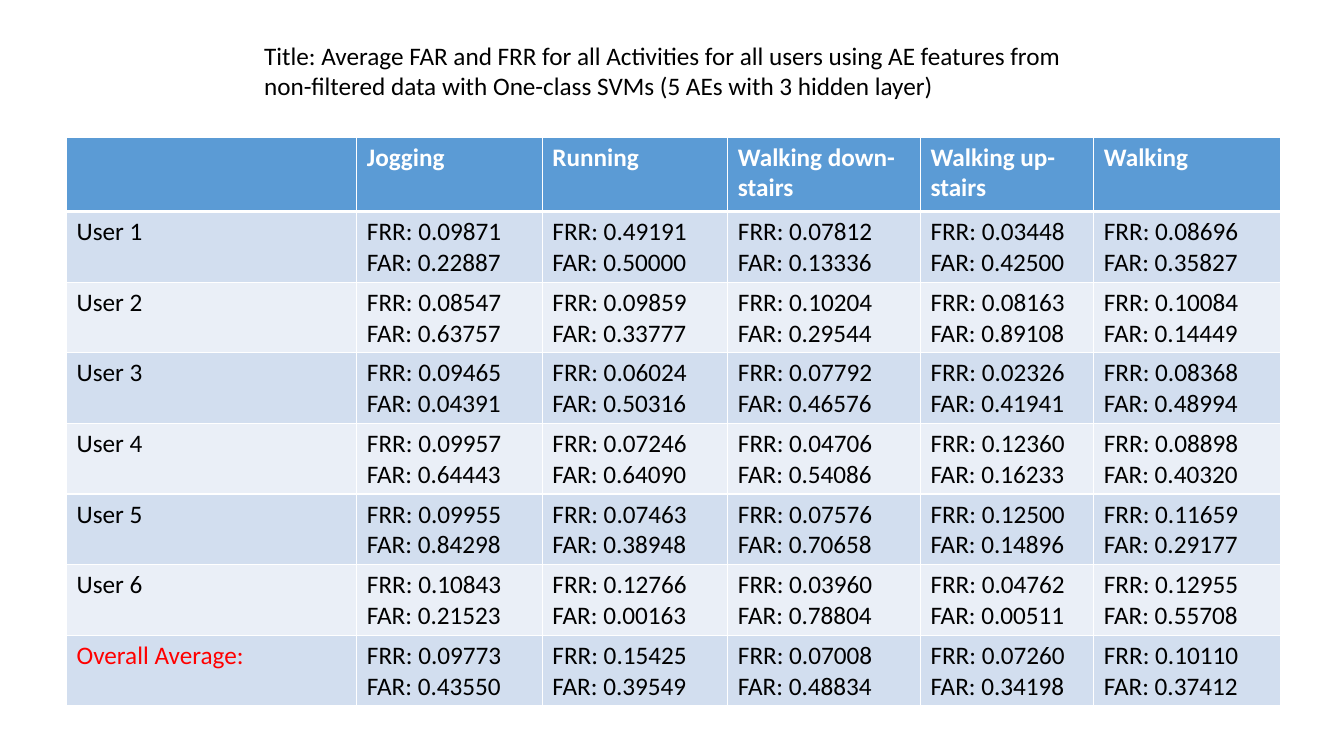
from lxml import etree
from pptx import Presentation
from pptx.dml.color import RGBColor
from pptx.enum.text import MSO_ANCHOR, MSO_AUTO_SIZE, PP_ALIGN
from pptx.oxml.ns import qn
from pptx.util import Inches, Pt

TOP = MSO_ANCHOR.TOP
GROW = MSO_AUTO_SIZE.SHAPE_TO_FIT_TEXT
LEFT = PP_ALIGN.LEFT

HUES = {"head": "5B9BD5", "odd": "D2DEEF", "even": "EAEFF7",
        "white": "FFFFFF", "black": "000000", "red": "FF0000"}
FONT = {"name": "Calibri", "size": Pt(18)}

HEADS = ["", "Jogging", "Running", "Walking down-stairs", "Walking up-stairs", "Walking"]
RATES = [
    ("User 1", "0.09871 0.22887", "0.49191 0.50000", "0.07812 0.13336",
     "0.03448 0.42500", "0.08696 0.35827"),
    ("User 2", "0.08547 0.63757", "0.09859 0.33777", "0.10204 0.29544",
     "0.08163 0.89108", "0.10084 0.14449"),
    ("User 3", "0.09465 0.04391", "0.06024 0.50316", "0.07792 0.46576",
     "0.02326 0.41941", "0.08368 0.48994"),
    ("User 4", "0.09957 0.64443", "0.07246 0.64090", "0.04706 0.54086",
     "0.12360 0.16233", "0.08898 0.40320"),
    ("User 5", "0.09955 0.84298", "0.07463 0.38948", "0.07576 0.70658",
     "0.12500 0.14896", "0.11659 0.29177"),
    ("User 6", "0.10843 0.21523", "0.12766 0.00163", "0.03960 0.78804",
     "0.04762 0.00511", "0.12955 0.55708"),
    ("Overall Average:", "0.09773 0.43550", "0.15425 0.39549", "0.07008 0.48834",
     "0.07260 0.34198", "0.10110 0.37412"),
]
WIDTHS = [2.88, 1.84, 1.84, 1.91, 1.72, 1.85]


def write(frame, text, hue, bold=False):
    frame.text = text
    for para in frame.paragraphs:
        para.alignment = LEFT
        for run in para.runs:
            for key, val in FONT.items():
                setattr(run.font, key, val)
            run.font.bold = bold
            run.font.color.rgb = RGBColor.from_string(HUES[hue])


def edge(cell, side, width):
    line = etree.SubElement(cell._tc.get_or_add_tcPr(), qn("a:ln" + side), w=str(Pt(width)))
    fill = etree.SubElement(line, qn("a:solidFill"))
    etree.SubElement(fill, qn("a:srgbClr"), val=HUES["white"])


deck = Presentation()
deck.slide_width, deck.slide_height = Inches(13.33), Inches(7.5)
slide = deck.slides.add_slide(deck.slide_layouts[5])

title = slide.shapes.title
for key, val in {"left": 2.52, "top": 0.35, "width": 8.13, "height": 0.71}.items():
    setattr(title, key, Inches(val))
frame = title.text_frame
for key, val in {"word_wrap": True, "vertical_anchor": TOP, "auto_size": GROW}.items():
    setattr(frame, key, val)
write(frame, "Title: Average FAR and FRR for all Activities for all users using AE features "
      "from non-filtered data with One-class SVMs (5 AEs with 3 hidden layer)", "black")

table = slide.shapes.add_table(
    len(RATES) + 1, len(HEADS), Inches(0.66), Inches(1.36),
    Inches(sum(WIDTHS)), Inches(5.6)).table
for col, width in zip(table.columns, WIDTHS):
    col.width = Inches(width)

for r, row in enumerate([HEADS] + RATES):
    table.rows[r].height = Inches(0.7 if r else 0.74)
    for c, text in enumerate(row):
        cell = table.cell(r, c)
        for side in "LRTB":
            thick = (r, side) in [(0, "B"), (1, "T")]
            edge(cell, side, 3 if thick else 1)
        shade = "head" if r == 0 else "odd" if r % 2 else "even"
        cell.fill.solid()
        cell.fill.fore_color.rgb = RGBColor.from_string(HUES[shade])
        cell.vertical_anchor = TOP
        if r and c:
            text = "FRR: {}\nFAR: {}".format(*text.split())
        hue = "white" if r == 0 else "red" if r == len(RATES) and c == 0 else "black"
        write(cell.text_frame, text, hue, r == 0)

deck.save("out.pptx")
